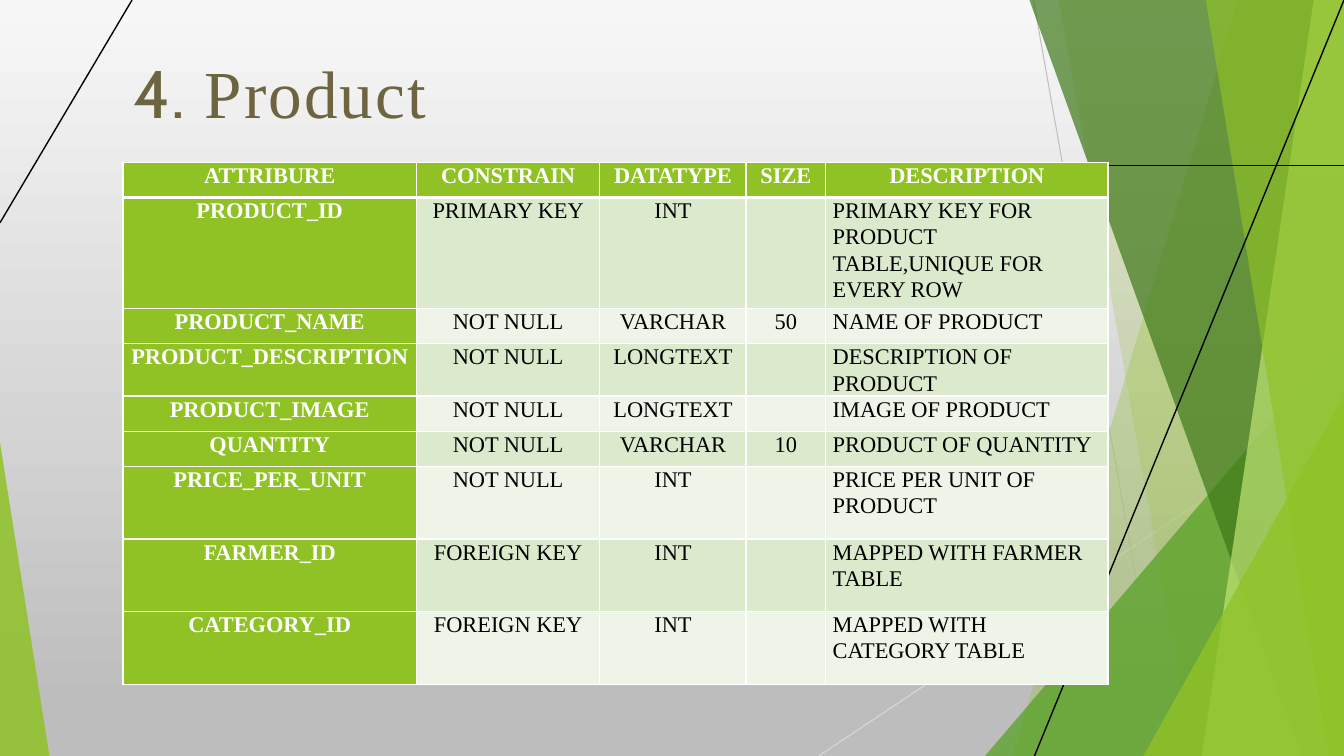
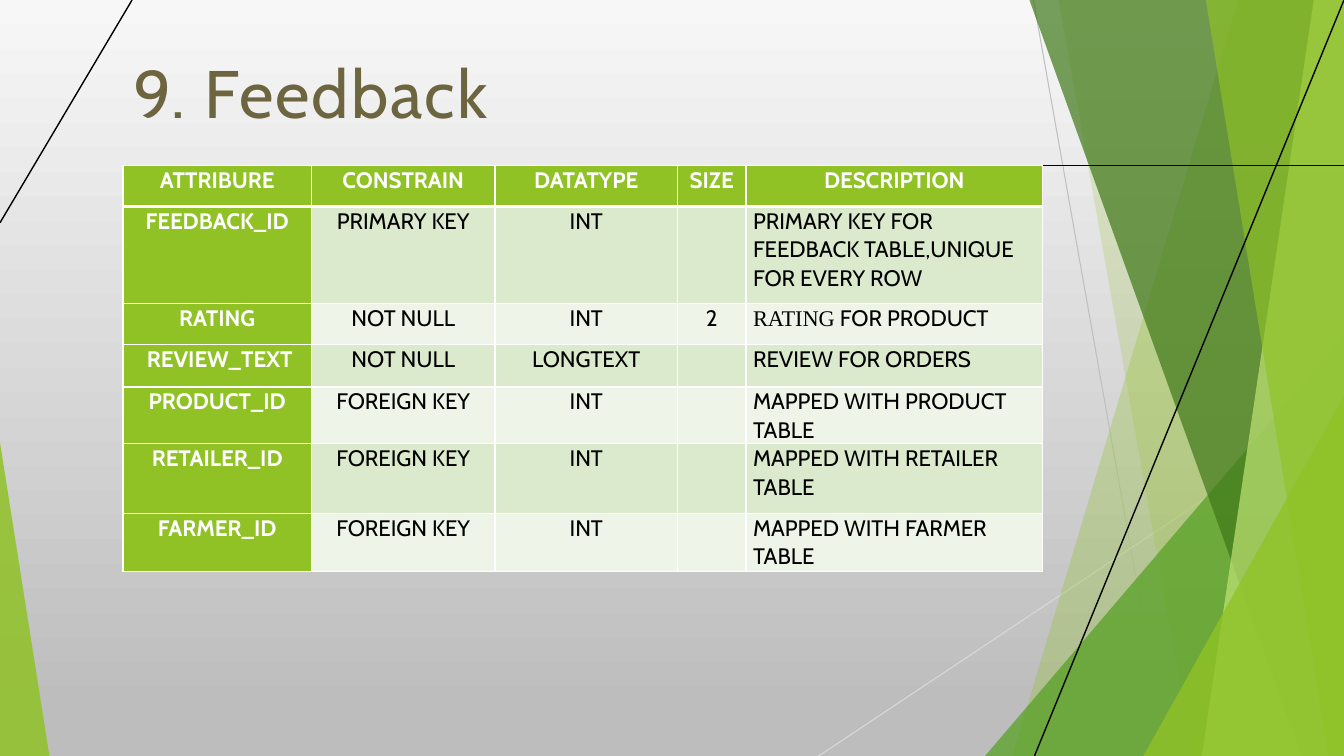
from lxml import etree
from pptx import Presentation
from pptx.dml.color import RGBColor
from pptx.enum.shapes import MSO_CONNECTOR, MSO_SHAPE
from pptx.enum.text import MSO_ANCHOR, MSO_AUTO_SIZE, PP_ALIGN
from pptx.oxml.ns import qn
from pptx.util import Inches, Pt

STRAIGHT = MSO_CONNECTOR.STRAIGHT
TRIANGLE = MSO_SHAPE.ISOSCELES_TRIANGLE
LEFT, CENTER = PP_ALIGN.LEFT, PP_ALIGN.CENTER

WIDTH, HEIGHT = 13.33, 7.5
MARGIN = 1.22
CABIN, TIMES = "Cabin", "Times New Roman"

WHITE = RGBColor(0xFF, 0xFF, 0xFF)
BLACK = RGBColor(0x00, 0x00, 0x00)
PALE_GRAY = RGBColor(0xF7, 0xF7, 0xF7)
MID_GRAY = RGBColor(0xBD, 0xBD, 0xBD)
LINE_GRAY = RGBColor(0xBF, 0xBF, 0xBF)
LIGHT_LINE = RGBColor(0xD9, 0xD9, 0xD9)
LIME = RGBColor(0x90, 0xC2, 0x26)
GREEN = RGBColor(0x54, 0xA0, 0x21)
DARK_GREEN = RGBColor(0x3F, 0x78, 0x19)
LIGHT_LIME = RGBColor(0xC0, 0xE4, 0x74)
TITLE_OLIVE = RGBColor(0x6D, 0x65, 0x40)
ROW_FILLS = (RGBColor(0xDB, 0xE9, 0xCD), RGBColor(0xEE, 0xF4, 0xE8))

# Backdrop, back to front
# line: start, end, colour, points
# band: left edge at top and at bottom, colour, opacity in percent
# triangle: left, top, width, apex position, colour, opacity
BACKDROP = [
    ("line", (10.25, 0), (11.58, HEIGHT), LINE_GRAY, 0.75),
    ("line", (WIDTH, 4.03), (8.12, HEIGHT), LIGHT_LINE, 0.75),
    ("band", 12.28, 10.04, LIME, 30),
    ("band", 10.5, 11.83, LIME, 20),
    ("triangle", 9.77, 3.33, 3.56, 1, GREEN, 72),
    ("band", 10.21, 12.91, DARK_GREEN, 70),
    ("band", 13.03, 11.92, LIGHT_LIME, 70),
    ("band", 11.96, 13.18, LIME, 65),
    ("triangle", 11.34, 3.93, 1.99, 1, LIME, 80),
    ("triangle", 0, 4.39, 0.49, 0, LIME, 85),
    ("line", (9.95, 1.64), (WIDTH, 1.64), BLACK, 1),
    ("line", (WIDTH, 0), (10.26, HEIGHT), BLACK, 1),
    ("line", (0, 2.21), (1.31, 0), BLACK, 1),
]

# Slide content: a cell is text, or a list of (text, font) runs
HEADER = ("ATTRIBURE", "CONSTRAIN", "DATATYPE", "SIZE", "DESCRIPTION")
SLIDES = [
    {
        "title": [("4. ", CABIN), ("Product", TIMES)],
        "font": TIMES,
        "top": 1.61,
        "columns": (2.91, 1.82, 1.45, 0.79, 2.8),
        "heights": (0.35, 1.1, 0.35, 0.35, 0.35, 0.35, 0.72, 0.72, 0.72),
        "rows": [
            ("PRODUCT_ID", "PRIMARY KEY", "INT", "",
             "PRIMARY KEY FOR PRODUCT TABLE,UNIQUE FOR EVERY ROW"),
            ("PRODUCT_NAME", "NOT NULL", "VARCHAR", "50", "NAME OF PRODUCT"),
            ("PRODUCT_DESCRIPTION", "NOT NULL", "LONGTEXT", "",
             "DESCRIPTION OF PRODUCT"),
            ("PRODUCT_IMAGE", "NOT NULL", "LONGTEXT", "", "IMAGE OF PRODUCT"),
            ("QUANTITY", "NOT NULL", "VARCHAR", "10", "PRODUCT OF QUANTITY"),
            ("PRICE_PER_UNIT", "NOT NULL", "INT", "",
             "PRICE PER UNIT OF PRODUCT"),
            ("FARMER_ID", "FOREIGN KEY", "INT", "", "MAPPED WITH FARMER TABLE"),
            ("CATEGORY_ID", "FOREIGN KEY", "INT", "",
             "MAPPED WITH CATEGORY TABLE"),
        ],
    },
    {
        "title": [("9. Feedback", CABIN)],
        "font": CABIN,
        "top": 1.64,
        "columns": (1.87, 1.82, 1.81, 0.68, 2.94),
        "heights": (0.41, 0.96, 0.41, 0.42, 0.56, 0.69, 0.58),
        "rows": [
            ("FEEDBACK_ID", "PRIMARY KEY", "INT", "",
             "PRIMARY KEY FOR FEEDBACK TABLE,UNIQUE FOR EVERY ROW"),
            ("RATING", "NOT NULL", "INT", "2",
             [("RATING", TIMES), (" FOR PRODUCT", CABIN)]),
            (" REVIEW_TEXT", "NOT NULL", "LONGTEXT", "", "REVIEW FOR ORDERS"),
            ("PRODUCT_ID", "FOREIGN KEY", "INT", "",
             "MAPPED WITH PRODUCT TABLE"),
            ("RETAILER_ID", "FOREIGN KEY", "INT", "",
             "MAPPED WITH RETAILER TABLE"),
            ("FARMER_ID", "FOREIGN KEY", "INT", "", "MAPPED WITH FARMER TABLE"),
        ],
    },
]


# Shared drawing helpers
def add_runs(paragraph, runs, size, color, bold=False):
    for text, font_name in runs:
        run = paragraph.add_run()
        run.text = text
        run.font.name = font_name
        run.font.size = Pt(size)
        run.font.bold = bold
        run.font.color.rgb = color


def add_line(shapes, start, end, color, points):
    line = shapes.add_connector(STRAIGHT, *map(Inches, start + end))
    line.line.color.rgb = color
    line.line.width = Pt(points)
    etree.SubElement(line.element.spPr, qn("a:effectLst"))


def paint(shape, color, opacity):
    shape.shadow.inherit = False
    shape.line.fill.background()
    shape.fill.solid()
    shape.fill.fore_color.rgb = color
    color_element = shape.element.spPr.find(qn("a:solidFill"))[0]
    etree.SubElement(color_element, qn("a:alpha"), val=str(opacity * 1000))


def add_band(shapes, top_x, bottom_x, color, opacity):
    corners = [(top_x, 0), (WIDTH, 0), (WIDTH, HEIGHT), (bottom_x, HEIGHT)]
    points = [(Inches(x), Inches(y)) for x, y in corners]
    builder = shapes.build_freeform(*points[0])
    builder.add_line_segments(points[1:], close=True)
    paint(builder.convert_to_shape(), color, opacity)


def add_triangle(shapes, left, top, width, apex, color, opacity):
    shape = shapes.add_shape(
        TRIANGLE, *map(Inches, (left, top, width, HEIGHT - top)))
    shape.adjustments[0] = apex
    paint(shape, color, opacity)


DRAWERS = {"line": add_line, "band": add_band, "triangle": add_triangle}


# Layout: gradient, backdrop and title frame
def prepare_layout(layout):
    fill = layout.background.fill
    fill.gradient()
    fill.gradient_angle = 270
    stops = zip(fill.gradient_stops, (PALE_GRAY, MID_GRAY), (0, 0.94))
    for stop, color, position in stops:
        stop.color.rgb = color
        stop.position = position
    for placeholder in list(layout.placeholders):
        if placeholder.placeholder_format.idx != 0:
            placeholder.element.getparent().remove(placeholder.element)


def move_backdrop_to_layout(slide, layout):
    for kind, *values in BACKDROP:
        DRAWERS[kind](slide.shapes, *values)
    drawn = [shape for shape in slide.shapes if not shape.is_placeholder]
    for index, shape in enumerate(drawn):
        layout.shapes.element.insert(2 + index, shape.element)


def add_title(slide, runs):
    title = slide.shapes.title
    title.left, title.top, title.width, title.height = map(
        Inches, (MARGIN, 0.37, 7.97, 0.99))
    frame = title.text_frame
    frame.word_wrap = True
    frame.auto_size = MSO_AUTO_SIZE.NONE
    frame.vertical_anchor = MSO_ANCHOR.BOTTOM
    paragraph = frame.paragraphs[0]
    paragraph.alignment = LEFT
    add_runs(paragraph, runs, 48, TITLE_OLIVE)
    for run in paragraph.runs:
        run.font._element.set("spc", "150")


# Table
def set_borders(cell, top, bottom):
    properties = cell._tc.get_or_add_tcPr()
    sides = (("lnL", 1), ("lnR", 1), ("lnT", top), ("lnB", bottom))
    for index, (side, points) in enumerate(sides):
        border = etree.Element(qn(f"a:{side}"), w=str(Pt(points)))
        solid = etree.SubElement(border, qn("a:solidFill"))
        etree.SubElement(solid, qn("a:srgbClr"), val=str(WHITE))
        properties.insert(index, border)


def fill_cell(cell, content, row, column, font_name):
    is_heading = row == 0 or column == 0
    cell.margin_left = cell.margin_right = Inches(0.07)
    cell.margin_top = cell.margin_bottom = 0
    cell.fill.solid()
    cell.fill.fore_color.rgb = LIME if is_heading else ROW_FILLS[(row - 1) % 2]
    set_borders(cell, 3 if row == 1 else 1, 3 if row == 0 else 1)
    if not content:
        return
    paragraph = cell.text_frame.paragraphs[0]
    is_description = row > 0 and column == len(HEADER) - 1
    paragraph.alignment = LEFT if is_description else CENTER
    paragraph.line_spacing = 1.05
    paragraph.space_after = Pt(10)
    runs = [(content, font_name)] if isinstance(content, str) else content
    add_runs(paragraph, runs, 16, WHITE if is_heading else BLACK, is_heading)


def add_attribute_table(slide, data):
    columns, heights = data["columns"], data["heights"]
    table = slide.shapes.add_table(
        len(heights), len(columns), Inches(MARGIN), Inches(data["top"]),
        Inches(sum(columns)), Inches(sum(heights))).table
    table.horz_banding = False
    for column, width in zip(table.columns, columns):
        column.width = Inches(width)
    for row, height in zip(table.rows, heights):
        row.height = Inches(height)
    for row, contents in enumerate([HEADER] + data["rows"]):
        for column, content in enumerate(contents):
            fill_cell(table.cell(row, column), content, row, column,
                      data["font"])


def main():
    presentation = Presentation()
    presentation.slide_width = Inches(WIDTH)
    presentation.slide_height = Inches(HEIGHT)
    layout = presentation.slide_layouts.get_by_name("Title Only")
    prepare_layout(layout)
    for number, data in enumerate(SLIDES):
        slide = presentation.slides.add_slide(layout)
        if number == 0:
            move_backdrop_to_layout(slide, layout)
        add_title(slide, data["title"])
        add_attribute_table(slide, data)
    presentation.save("out.pptx")


if __name__ == "__main__":
    main()
